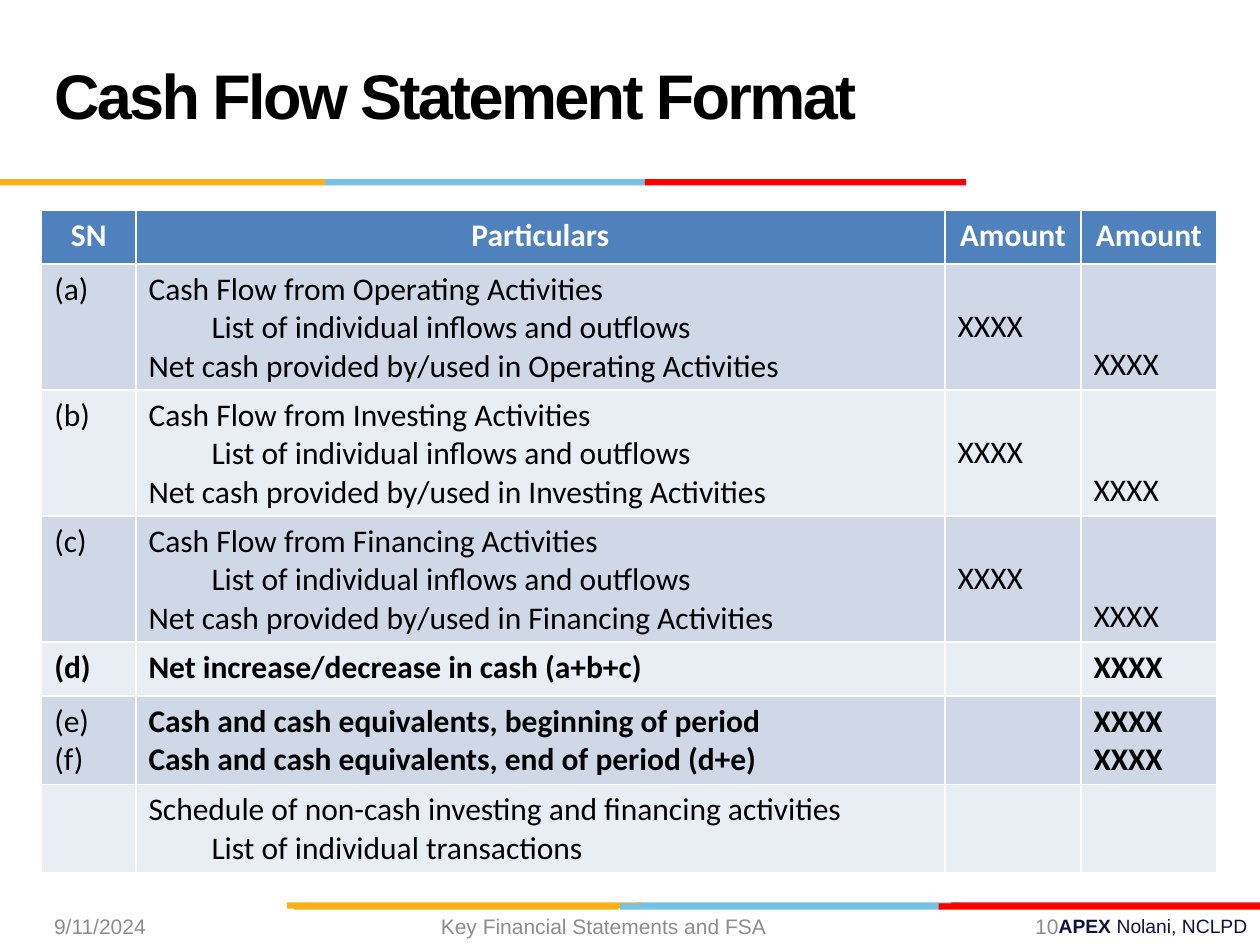
"""Build the cash flow statement format slide."""
from pptx import Presentation
from pptx import util as u
from pptx.dml.color import RGBColor
from pptx.enum import shapes, text

COLORS = {
    "amber": "FCB017", "sky": "76C2E5", "red": "FF0000", "crimson": "E31C24",
    "header": "4F81BD", "band_dark": "D0D8E8", "band_light": "E9EDF4",
    "white": "FFFFFF", "black": "000000", "gray": "8C8C8C", "navy": "101141",
}
ALIGN = text.PP_ALIGN
ANCHOR = text.MSO_ANCHOR

STRIPES = [
    (18.19, [(12.85, 6.48, "sky"), (19.18, 6.22, "crimson"), (5.79, 7.16, "amber")]),
    (18.21, [(12.5, 6.48, "sky"), (5.92, 6.55, "amber"), (18.92, 6.48, "red")]),
    (3.61, [(6.55, 6.48, "sky"), (0, 6.55, "amber"), (13, 6.48, "red")]),
]
STRIPE_HEIGHT = 0.13

FOOTER_TOP, FOOTER_HEIGHT = 18.31, 0.74
FOOTERS = [
    ("9/11/2024", 0.84, 5.92, ALIGN.LEFT),
    ("Key Financial Statements and FSA", 5.72, 12.9, ALIGN.CENTER),
    ("10", 18.77, 2.82, ALIGN.RIGHT),
]

HEADINGS = ["SN", "Particulars", "Amount", "Amount"]
COLUMN_WIDTHS = [1.9, 16.31, 2.74, 2.74]
AMOUNT = "XXXX"
ACTIVITIES = ["Operating", "Investing", "Financing"]


def plain(*lines):
    return [(line, 0, False) for line in lines]


def strong(*lines):
    return [(line, 0, True) for line in lines]


def detail(line):
    return [(line, 1, False)]


ROWS = [
    [
        plain(f"({letter})"),
        plain(f"Cash Flow from {activity} Activities")
        + detail("List of individual inflows and outflows")
        + plain(f"Net cash provided by/used in {activity} Activities"),
        plain(AMOUNT),
        plain(AMOUNT),
    ]
    for letter, activity in zip("abc", ACTIVITIES)
] + [
    [strong("(d)"), strong("Net increase/decrease in cash (a+b+c)"), [], strong(AMOUNT)],
    [
        plain("(e)", "(f)"),
        strong("Cash and cash equivalents, beginning of period",
               "Cash and cash equivalents, end of period (d+e)"),
        [],
        strong(AMOUNT, AMOUNT),
    ],
    [
        [],
        plain("Schedule of non-cash investing and financing activities")
        + detail("List of individual transactions"),
        [],
        [],
    ],
]


def color(name):
    return RGBColor.from_string(COLORS[name])


def write(paragraph, words, *, size=18, font="Calibri", ink="black", bold=False,
          align=ALIGN.LEFT, level=0, tracking=None):
    paragraph.alignment = align
    if level:
        paragraph.level = level
        paragraph._p.get_or_add_pPr().set("marL", str(u.Cm(1.27 * level)))
    run = paragraph.add_run()
    run.text = words
    run.font.size = u.Pt(size)
    run.font.name = font
    run.font.bold = bold
    run.font.color.rgb = color(ink)
    if tracking is not None:
        run._r.get_or_add_rPr().set("spc", str(int(tracking * 100)))


def add_text_box(slide, left, top, width, height, anchor=ANCHOR.MIDDLE):
    box = slide.shapes.add_textbox(u.Cm(left), u.Cm(top), u.Cm(width), u.Cm(height))
    box.text_frame.word_wrap = True
    box.text_frame.vertical_anchor = anchor
    return box.text_frame.paragraphs[0]


def add_stripes(slide):
    for top, segments in STRIPES:
        for left, width, fill in segments:
            stripe = slide.shapes.add_shape(
                shapes.MSO_SHAPE.RECTANGLE,
                u.Cm(left), u.Cm(top), u.Cm(width), u.Cm(STRIPE_HEIGHT))
            stripe.shadow.inherit = False
            stripe.fill.solid()
            stripe.fill.fore_color.rgb = color(fill)
            stripe.line.fill.background()


def fill_cell(cell, fill, lines, **style):
    cell.fill.solid()
    cell.fill.fore_color.rgb = color(fill)
    frame = cell.text_frame
    for index, (words, level, bold) in enumerate(lines):
        paragraph = frame.add_paragraph() if index else frame.paragraphs[0]
        write(paragraph, words, level=level, bold=bold, **style)


def add_statement(slide):
    line_counts = [max(map(len, row)) for row in ROWS]
    heights = [1.09] + [max(1.09, 0.25 + 0.76 * count) for count in line_counts]
    table = slide.shapes.add_table(
        len(heights), len(HEADINGS), u.Cm(0.84), u.Cm(4.23),
        u.Cm(sum(COLUMN_WIDTHS)), u.Cm(sum(heights))).table
    for column, width in zip(table.columns, COLUMN_WIDTHS):
        column.width = u.Cm(width)
    for row, height in zip(table.rows, heights):
        row.height = u.Cm(height)
    for column, heading in enumerate(HEADINGS):
        fill_cell(table.cell(0, column), "header", strong(heading),
                  ink="white", align=ALIGN.CENTER)
    for number, row in enumerate(ROWS, 1):
        fill = "band_dark" if number % 2 else "band_light"
        for column, lines in enumerate(row):
            fill_cell(table.cell(number, column), fill, lines)
        if number <= len(ACTIVITIES):
            table.cell(number, 2).vertical_anchor = ANCHOR.MIDDLE
            table.cell(number, 3).vertical_anchor = ANCHOR.BOTTOM


def main():
    presentation = Presentation()
    presentation.slide_width, presentation.slide_height = u.Cm(25.4), u.Cm(19.05)
    slide = presentation.slides.add_slide(presentation.slide_layouts[6])

    signature = add_text_box(slide, 19.89, FOOTER_TOP, 5.51, FOOTER_HEIGHT, ANCHOR.TOP)
    for words, bold in [("APEX ", True), ("Nolani, NCLPD", False)]:
        write(signature, words, size=11, font="Arial", ink="navy",
              bold=bold, align=ALIGN.RIGHT)
    add_stripes(slide)

    title = add_text_box(slide, 0.84, 0.43, 17.58, 3.18)
    title.line_spacing = u.Pt(36)
    write(title, "Cash Flow Statement Format", size=36, font="Arial",
          bold=True, tracking=-1.5)
    add_statement(slide)

    for words, left, width, align in FOOTERS:
        footer = add_text_box(slide, left, FOOTER_TOP, width, FOOTER_HEIGHT)
        write(footer, words, size=12, font="Arial", ink="gray", align=align)
    presentation.save("out.pptx")


if __name__ == "__main__":
    main()
